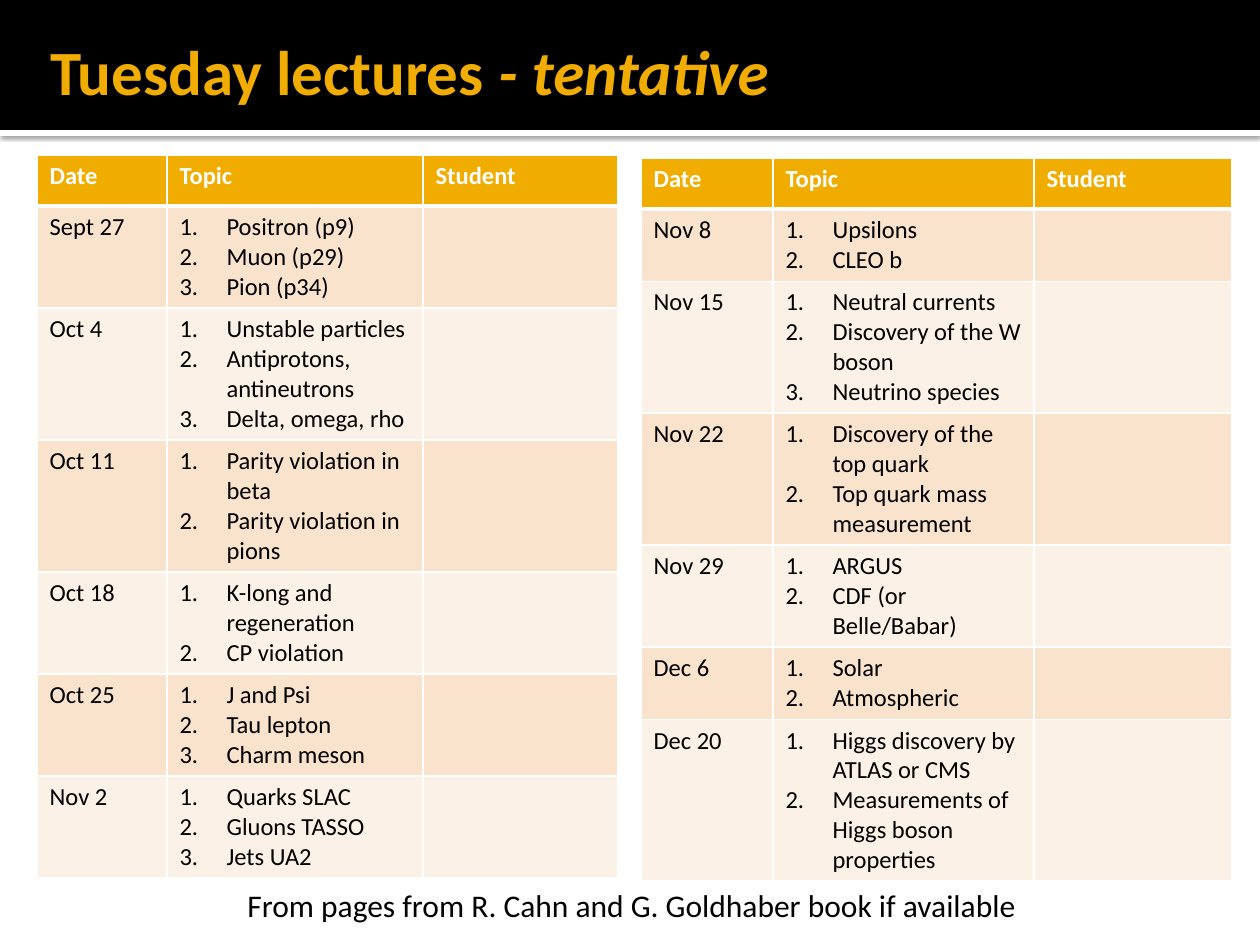
from dataclasses import dataclass

from lxml.etree import SubElement
from pptx import Presentation
from pptx.dml.color import RGBColor
from pptx.enum.shapes import MSO_SHAPE
from pptx.enum.text import MSO_ANCHOR, MSO_AUTO_SIZE, PP_ALIGN
from pptx.oxml import parse_xml
from pptx.oxml.ns import nsdecls, qn
from pptx.util import Emu, Pt

EMU_PER_PX = 914400 / 126
FONT = "Calibri"
COLOURS = {
    "black": "000000",
    "white": "FFFFFF",
    "gold": "F0AD00",
    "band_dark": "F9E3CC",
    "band_light": "FCF1E7",
}
HEADINGS = ("Date", "Topic", "Student")
ROW_HEIGHT = 51
LIST_INDENT = 47


@dataclass(frozen=True)
class Lecture:
    date: str
    topics: tuple[str, ...]


@dataclass(frozen=True)
class Schedule:
    left: int
    top: int
    columns: tuple[int, int, int]
    lectures: tuple[Lecture, ...]


SCHEDULES = (
    Schedule(37, 155, (130, 256, 195), (
        Lecture("Sept 27", ("Positron (p9)", "Muon (p29)", "Pion (p34)")),
        Lecture("Oct 4", ("Unstable particles", "Antiprotons, antineutrons", "Delta, omega, rho")),
        Lecture("Oct 11", ("Parity violation in beta", "Parity violation in pions")),
        Lecture("Oct 18", ("K-long and regeneration", "CP violation")),
        Lecture("Oct 25", ("J and Psi", "Tau lepton", "Charm meson")),
        Lecture("Nov 2", ("Quarks SLAC", "Gluons TASSO", "Jets UA2")),
    )),
    Schedule(641, 158, (132, 261, 198), (
        Lecture("Nov 8", ("Upsilons", "CLEO b")),
        Lecture("Nov 15", ("Neutral currents", "Discovery of the W boson", "Neutrino species")),
        Lecture("Nov 22", ("Discovery of the top quark", "Top quark mass measurement")),
        Lecture("Nov 29", ("ARGUS", "CDF (or Belle/Babar)")),
        Lecture("Dec 6", ("Solar", "Atmospheric")),
        Lecture("Dec 20", ("Higgs discovery by ATLAS or CMS",
                           "Measurements of Higgs boson properties")),
    )),
)


def px(length: int) -> Emu:
    return Emu(round(length * EMU_PER_PX))


def colour(name: str) -> RGBColor:
    return RGBColor.from_string(COLOURS[name])


def format_run(run, size: int, colour_name: str, bold: bool = False) -> None:
    run.font.name = FONT
    run.font.size = Pt(size)
    run.font.bold = bold
    run.font.color.rgb = colour(colour_name)


def add_bar(slide, top: int, height: int, colour_name: str):
    bar = slide.shapes.add_shape(MSO_SHAPE.RECTANGLE, 0, px(top), px(1260), px(height))
    bar.shadow.inherit = False
    bar.fill.solid()
    bar.fill.fore_color.rgb = colour(colour_name)
    bar.line.fill.background()
    return bar


def add_drop_shadow(shape) -> None:
    effects = shape.element.spPr.find(qn("a:effectLst"))
    effects.append(parse_xml(
        f'<a:outerShdw {nsdecls("a")} blurRad="{Pt(2.5)}" dist="{Pt(0.8)}" dir="5400000" '
        f'algn="t" rotWithShape="0"><a:srgbClr val="{COLOURS["black"]}">'
        '<a:alpha val="60000"/></a:srgbClr></a:outerShdw>'))


def set_borders(cell, top: int = 1, bottom: int = 1) -> None:
    properties = cell._tc.get_or_add_tcPr()
    sides = (("L", 1), ("R", 1), ("T", top), ("B", bottom))
    for position, (side, width) in enumerate(sides):
        properties.insert(position, parse_xml(
            f'<a:ln{side} {nsdecls("a")} w="{Pt(width)}"><a:solidFill>'
            f'<a:srgbClr val="{COLOURS["white"]}"/></a:solidFill></a:ln{side}>'))


def number_paragraph(paragraph) -> None:
    properties = paragraph._p.get_or_add_pPr()
    properties.set("marL", str(px(LIST_INDENT)))
    properties.set("indent", str(-px(LIST_INDENT)))
    SubElement(properties, qn("a:buFont"), typeface="+mj-lt")
    SubElement(properties, qn("a:buAutoNum"), type="arabicPeriod")


def fill_cell(cell, text: str, fill: str, text_colour: str, bold: bool = False) -> None:
    cell.fill.solid()
    cell.fill.fore_color.rgb = colour(fill)
    cell.text_frame.text = text
    for paragraph in cell.text_frame.paragraphs:
        for run in paragraph.runs:
            format_run(run, 14, text_colour, bold)


def add_schedule(slide, schedule: Schedule) -> None:
    row_count = len(schedule.lectures) + 1
    table = slide.shapes.add_table(
        row_count, len(HEADINGS), px(schedule.left), px(schedule.top),
        px(sum(schedule.columns)), px(ROW_HEIGHT * row_count)).table
    table.horz_banding = False
    for column, width in zip(table.columns, schedule.columns):
        column.width = px(width)
    for row in table.rows:
        row.height = px(ROW_HEIGHT)

    # Heading row
    for column, heading in enumerate(HEADINGS):
        cell = table.cell(0, column)
        fill_cell(cell, heading, "gold", "white", bold=True)
        set_borders(cell, bottom=3)

    # Lecture rows in alternating bands
    for row, lecture in enumerate(schedule.lectures, start=1):
        band = "band_dark" if row % 2 else "band_light"
        for column, text in enumerate((lecture.date, "\n".join(lecture.topics), "")):
            cell = table.cell(row, column)
            fill_cell(cell, text, band, "black")
            set_borders(cell, top=3 if row == 1 else 1)
        for paragraph in table.cell(row, 1).text_frame.paragraphs:
            number_paragraph(paragraph)


def add_title(slide) -> None:
    title = slide.shapes.title
    title.left, title.top, title.width, title.height = px(37), px(16), px(1195), px(108)
    frame = title.text_frame
    frame.auto_size = MSO_AUTO_SIZE.NONE
    frame.vertical_anchor = MSO_ANCHOR.MIDDLE
    frame.margin_left = px(13)
    frame.margin_right = frame.margin_top = frame.margin_bottom = px(6)
    paragraph = frame.paragraphs[0]
    paragraph.alignment = PP_ALIGN.LEFT
    for text, italic in (("Tuesday lectures ", False), ("- tentative", True)):
        run = paragraph.add_run()
        run.text = text
        format_run(run, 36, "gold", bold=True)
        run.font.italic = italic
    # Bring the title in front of the header bars
    title.element.getparent().append(title.element)


def add_footnote(slide) -> None:
    frame = slide.shapes.add_textbox(px(235), px(880), px(810), px(50)).text_frame
    frame.word_wrap = False
    frame.auto_size = MSO_AUTO_SIZE.SHAPE_TO_FIT_TEXT
    frame.text = "From pages from R. Cahn and G. Goldhaber book if available"
    format_run(frame.paragraphs[0].runs[0], 18, "black")


def main() -> None:
    presentation = Presentation()
    presentation.slide_width, presentation.slide_height = px(1260), px(945)
    slide = presentation.slides.add_slide(presentation.slide_layouts[5])

    # Header
    add_drop_shadow(add_bar(slide, 130, 6, "white"))
    add_bar(slide, 0, 130, "black")
    add_title(slide)

    # Lecture tables and source note
    for schedule in SCHEDULES:
        add_schedule(slide, schedule)
    add_footnote(slide)

    presentation.save("out.pptx")


if __name__ == "__main__":
    main()
